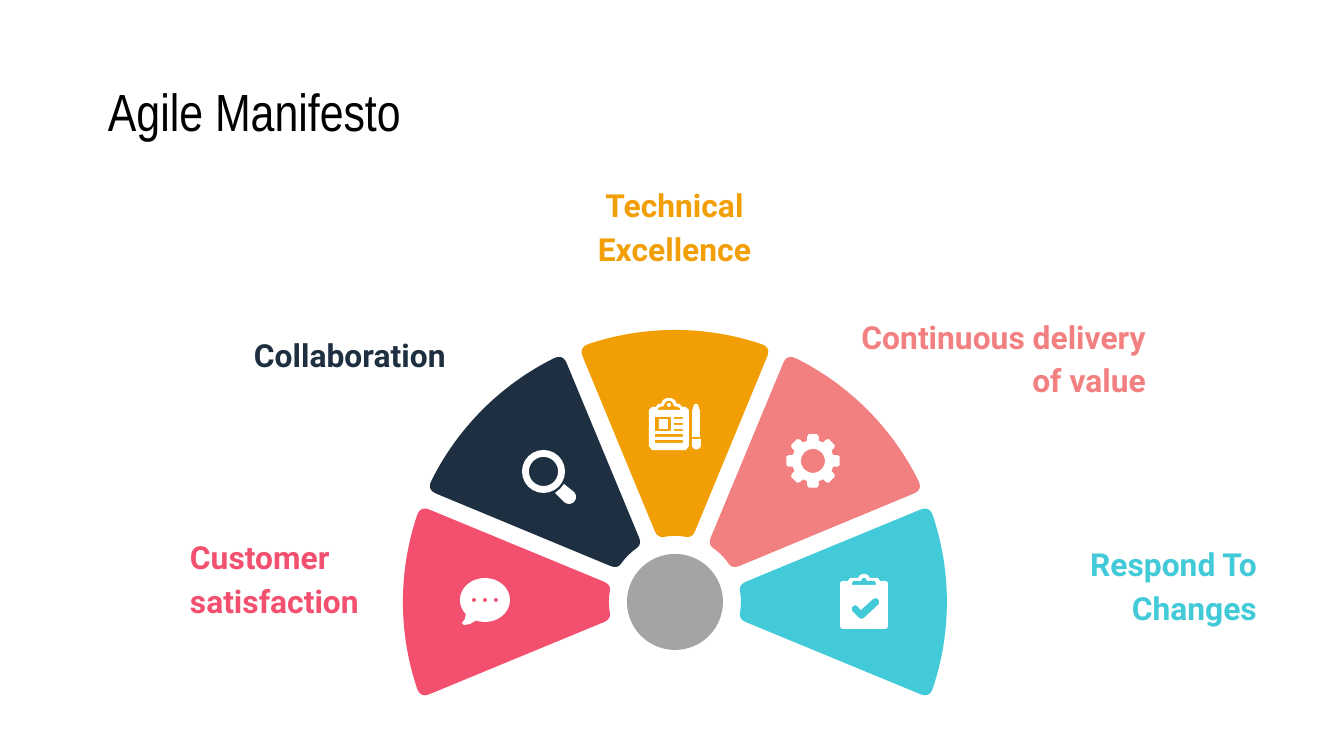
from math import cos, pi, radians, sin

from pptx import Presentation
from pptx.dml.color import RGBColor
from pptx.enum.shapes import MSO_SHAPE
from pptx.enum.text import MSO_ANCHOR, PP_ALIGN
from pptx.util import Pt

SLIDE_W, SLIDE_H = 1344, 756
EMU_PER_PX = 9144000 / SLIDE_W
LEFT, CENTER, RIGHT = PP_ALIGN.LEFT, PP_ALIGN.CENTER, PP_ALIGN.RIGHT
MIDDLE = MSO_ANCHOR.MIDDLE
OVAL, DONUT, BOX = MSO_SHAPE.OVAL, MSO_SHAPE.DONUT, MSO_SHAPE.RECTANGLE

WHITE, GRAY, BLACK = "FFFFFF", "A4A4A4", "000000"
PINK, NAVY, AMBER = "F2506E", "1D2F40", "F29F05"
CORAL, TEAL = "F28080", "43CAD9"

HUB_X, HUB_Y, HUB_R = 675, 602, 48
OUTER_R, INNER_R = 272, 66
INSET = 13

# label, colour, alignment, label box, wedge direction in degrees
VALUES = [
    ("Customer satisfaction", PINK, LEFT, (177, 552, 247, 48), 180),
    ("Collaboration", NAVY, LEFT, (241, 328, 247, 48), 225),
    ("Technical Excellence", AMBER, CENTER, (551, 200, 247, 48), 270),
    ("Continuous delivery of value", CORAL, RIGHT, (845, 304, 314, 103), 315),
    ("Respond To Changes", TEAL, RIGHT, (968, 552, 302, 62), 0),
]


def px(length):
    return round(length * EMU_PER_PX)


def color(hex_string):
    return RGBColor.from_string(hex_string)


def paint(shape, fill):
    shape.shadow.inherit = False
    shape.fill.solid()
    shape.fill.fore_color.rgb = color(fill)
    shape.line.fill.background()


def add_text(slide, text, box, size, font, fill, align, spacing, bold=False):
    frame = slide.shapes.add_textbox(*map(px, box)).text_frame
    frame.word_wrap = True
    frame.vertical_anchor = MIDDLE
    frame.margin_left = frame.margin_right = px(INSET)
    frame.margin_top = frame.margin_bottom = px(INSET)
    paragraph = frame.paragraphs[0]
    paragraph.alignment = align
    paragraph.line_spacing = spacing
    run = paragraph.add_run()
    run.text = text
    run.font.size = Pt(size)
    run.font.name = font
    run.font.bold = bold
    run.font.color.rgb = color(fill)


def add_preset(slide, kind, box, fill):
    shape = slide.shapes.add_shape(kind, *map(px, box))
    paint(shape, fill)
    return shape


def add_outline(slide, fill, *contours):
    """Draw closed contours as one shape; inner contours become holes."""
    scaled = [[(px(x), px(y)) for x, y in contour] for contour in contours]
    builder = slide.shapes.build_freeform(*scaled[0][0], scale=1)
    builder.add_line_segments(scaled[0][1:], close=True)
    for contour in scaled[1:]:
        builder.move_to(*contour[0])
        builder.add_line_segments(contour[1:], close=True)
    paint(builder.convert_to_shape(), fill)


def polar(cx, cy, radius, degrees):
    angle = radians(degrees)
    return cx + radius * cos(angle), cy + radius * sin(angle)


def arc(cx, cy, rx, ry, start, end, steps=32):
    angles = [radians(start + (end - start) * i / steps) for i in range(steps + 1)]
    return [(cx + rx * cos(a), cy + ry * sin(a)) for a in angles]


def circle(cx, cy, radius):
    return arc(cx, cy, radius, radius, 0, 360)[:-1]


def rect(left, top, right, bottom):
    return [(left, top), (right, top), (right, bottom), (left, bottom)]


def mirrored(cx, half):
    """Complete an outline from its left half, given as offsets from cx."""
    return [(cx - x, y) for x, y in half] + [(cx + x, y) for x, y in reversed(half)]


def rounded_corner(start, corner, end, steps=6):
    """Points of a quadratic curve pulled towards the corner."""
    fractions = [i / steps for i in range(steps + 1)]
    return [tuple((1 - t) ** 2 * a + 2 * t * (1 - t) * b + t * t * c
                  for a, b, c in zip(start, corner, end)) for t in fractions]


def add_wedge(slide, direction, fill):
    def at(radius, offset):
        return polar(HUB_X, HUB_Y, radius, direction + offset)

    def hub_arc(radius, half):
        return arc(HUB_X, HUB_Y, radius, radius, direction - half, direction + half)

    outline = rounded_corner(at(262, -20.6), at(OUTER_R, -20.7), at(OUTER_R, -18.6))
    outline += hub_arc(OUTER_R, 18.6)
    outline += rounded_corner(at(OUTER_R, 18.6), at(OUTER_R, 20.7), at(262, 20.6))
    outline += rounded_corner(at(74, 15.9), at(INNER_R, 15.1), at(INNER_R, 9.3))
    outline += hub_arc(INNER_R, 9.3)[::-1]
    outline += rounded_corner(at(INNER_R, -9.3), at(INNER_R, -15.1), at(74, -15.9))
    add_outline(slide, fill, outline)


def add_speech_icon(slide):
    bubble = arc(485, 600, 25, 22, 140, 471)
    tail = [(470, 624), (464, 625), (462, 623), (465, 619)]
    dots = [circle(x, 600, 2) for x in (474, 485, 496)]
    add_outline(slide, WHITE, bubble + tail, *dots)


def add_magnifier_icon(slide):
    grip_end = arc(569, 497, 7, 7, 135, -45, 12)
    add_outline(slide, WHITE, [(564, 484), (560, 489), (555, 493)] + grip_end)
    lens = add_preset(slide, DONUT, (522, 450, 43, 43), WHITE)
    lens.adjustments[0] = 0.16


def add_notes_icon(slide):
    board = mirrored(669, [(17, 450), (20, 446), (20, 410), (17, 407), (13, 407),
                           (11, 404), (8, 404), (6, 400), (2, 398)])
    clip = mirrored(669, [(11, 410), (11, 408), (9, 407), (5, 406),
                          (4, 403), (2, 401)])
    short_lines = [rect(674, y, 683, y + 2) for y in (417, 423, 429)]
    long_lines = [rect(655, y, 683, y + 3) for y in (434, 440)]
    add_outline(slide, WHITE, board, clip, rect(655, 417, 671, 431),
                *short_lines, *long_lines)
    add_preset(slide, OVAL, (667, 403, 4, 4), WHITE)
    add_preset(slide, BOX, (659, 419, 9, 10), WHITE)
    add_outline(slide, WHITE, mirrored(696, [(4, 437), (4, 411), (2, 405), (1, 404)]))
    add_outline(slide, WHITE, [(692, 439), (701, 439)] + arc(696.5, 445, 4.5, 4.5, 0, 180))


def add_gear_icon(slide):
    tooth = [(21, -16), (25, -13.5), (27, -9), (27, 9), (25, 13.5), (21, 16)]
    teeth = [polar(813, 461, radius, 45 * i + offset)
             for i in range(8) for radius, offset in tooth]
    add_outline(slide, WHITE, teeth, circle(813, 461, 12))


def add_checklist_icon(slide):
    board = mirrored(864, [(22, 629), (24, 627), (24, 583), (22, 581), (16, 581),
                           (14, 578), (6, 578), (4, 575), (1, 574)])
    clip = mirrored(864, [(12, 585), (12, 583), (11, 581), (3, 581),
                          (2, 579), (1, 578)])
    check = [(873, 599), (876, 598), (879, 600), (879, 604), (864, 618),
             (862, 619), (859, 618), (852, 611), (852, 607), (855, 605),
             (857, 606), (861, 610)]
    add_outline(slide, WHITE, board, clip, check)


def main():
    presentation = Presentation()
    presentation.slide_width = px(SLIDE_W)
    presentation.slide_height = px(SLIDE_H)
    slide = presentation.slides.add_slide(presentation.slide_layouts[6])

    add_text(slide, "Agile Manifesto", (95, 79, 481, 71), 28, "Arial Narrow",
             BLACK, LEFT, 0.9)
    add_preset(slide, OVAL, (HUB_X - HUB_R, HUB_Y - HUB_R, 2 * HUB_R, 2 * HUB_R), GRAY)
    for label, fill, align, box, direction in VALUES:
        add_wedge(slide, direction, fill)
        add_text(slide, label, box, 17, "Roboto", fill, align, 1.15, bold=True)

    add_speech_icon(slide)
    add_magnifier_icon(slide)
    add_notes_icon(slide)
    add_gear_icon(slide)
    add_checklist_icon(slide)
    presentation.save("out.pptx")


if __name__ == "__main__":
    main()
